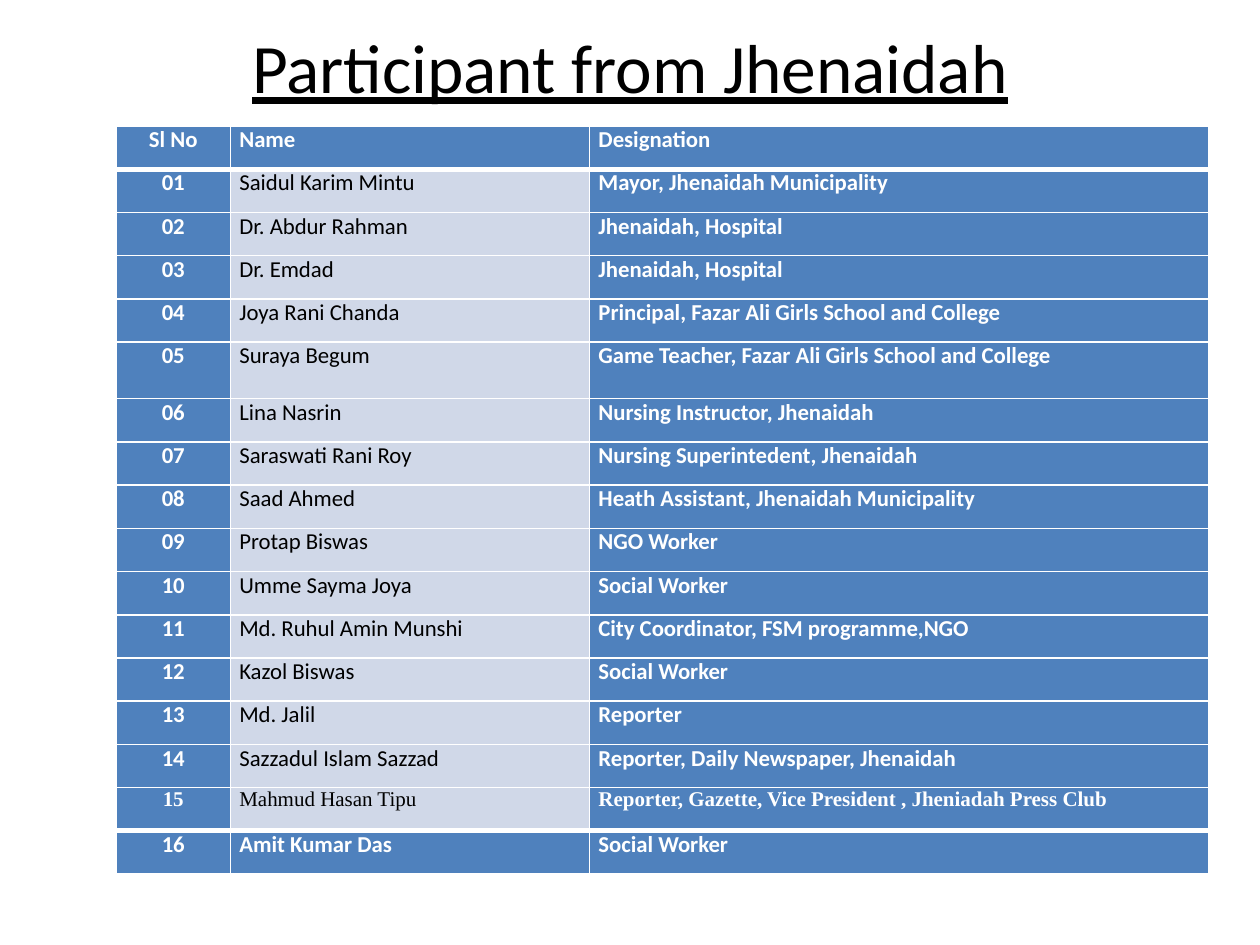
import dataclasses

import lxml.etree
import pptx
import pptx.dml.color
import pptx.enum.text
import pptx.oxml.ns
import pptx.util

Inches = pptx.util.Inches
Align = pptx.enum.text.PP_ALIGN


@dataclasses.dataclass(frozen=True)
class Theme:
    accent: str = "4F81BD"
    tint: str = "D0D8E8"
    dark: str = "000000"
    light: str = "FFFFFF"
    font: str = "Calibri"
    serif: str = "Times New Roman"
    title_size: float = 39.6
    cell_size: float = 13
    serif_size: float = 12
    thin_rule: float = 1
    thick_rule: float = 3


class SlideBuilder:
    def __init__(self, slide, theme):
        self.slide = slide
        self.theme = theme

    def add_run(self, paragraph, text, font, size, color, bold=False, underline=False):
        run = paragraph.add_run()
        run.text = text
        run.font.name = font
        run.font.size = pptx.util.Pt(size)
        run.font.bold = bold
        run.font.underline = underline
        run.font.color.rgb = pptx.dml.color.RGBColor.from_string(color)

    def title(self, text, left, top, width, height):
        heading = self.slide.shapes.title
        heading.left, heading.top = Inches(left), Inches(top)
        heading.width, heading.height = Inches(width), Inches(height)
        frame = heading.text_frame
        frame.auto_size = pptx.enum.text.MSO_AUTO_SIZE.NONE
        frame.vertical_anchor = pptx.enum.text.MSO_ANCHOR.MIDDLE
        paragraph = frame.paragraphs[0]
        paragraph.alignment = Align.CENTER
        theme = self.theme
        self.add_run(paragraph, text, theme.font, theme.title_size, theme.dark, underline=True)

    def border(self, cell, **widths):
        properties = cell._tc.get_or_add_tcPr()
        qn = pptx.oxml.ns.qn
        for side in "LRTB":
            width = widths.get(side, self.theme.thin_rule)
            line = lxml.etree.SubElement(properties, qn(f"a:ln{side}"), w=str(pptx.util.Pt(width)))
            fill = lxml.etree.SubElement(line, qn("a:solidFill"))
            lxml.etree.SubElement(fill, qn("a:srgbClr"), val=self.theme.light)

    def cell(self, cell, text, alignment, plain, serif, rules):
        theme = self.theme
        self.border(cell, **rules)
        cell.fill.solid()
        fill = theme.tint if plain else theme.accent
        cell.fill.fore_color.rgb = pptx.dml.color.RGBColor.from_string(fill)
        cell.margin_left = cell.margin_right = Inches(0.07)
        cell.margin_top = cell.margin_bottom = 0
        paragraph = cell.text_frame.paragraphs[0]
        paragraph.alignment = alignment
        font, size = (theme.serif, theme.serif_size) if serif else (theme.font, theme.cell_size)
        color = theme.dark if plain else theme.light
        self.add_run(paragraph, text, font, size, color, bold=not plain)

    def table(self, rows, left, top, widths, height, tall_rows, serif_rows):
        grid = self.slide.shapes.add_table(
            len(rows), len(widths), Inches(left), Inches(top), Inches(sum(widths)), Inches(height)
        ).table
        for column, width in zip(grid.columns, widths):
            column.width = Inches(width)
        row_height = (height - sum(tall_rows.values())) / (len(rows) - len(tall_rows))
        last = len(rows) - 1
        thick = self.theme.thick_rule
        for index, values in enumerate(rows):
            grid.rows[index].height = Inches(tall_rows.get(index, row_height))
            rules = {}
            if index in (0, last - 1):
                rules["B"] = thick
            if index in (1, last):
                rules["T"] = thick
            for column, text in enumerate(values):
                self.cell(
                    grid.cell(index, column),
                    text,
                    Align.JUSTIFY if column else Align.CENTER,
                    plain=column == 1 and 0 < index < last,
                    serif=index in serif_rows,
                    rules=rules,
                )


PARTICIPANTS = [
    ("Saidul Karim Mintu", "Mayor, Jhenaidah Municipality"),
    ("Dr. Abdur Rahman", "Jhenaidah, Hospital"),
    ("Dr. Emdad", "Jhenaidah, Hospital"),
    ("Joya Rani Chanda", "Principal, Fazar Ali Girls School and College"),
    ("Suraya Begum", "Game Teacher, Fazar Ali Girls School and College"),
    ("Lina Nasrin", "Nursing Instructor, Jhenaidah"),
    ("Saraswati Rani Roy", "Nursing Superintedent, Jhenaidah"),
    ("Saad Ahmed", "Heath Assistant, Jhenaidah Municipality"),
    ("Protap Biswas", "NGO Worker"),
    ("Umme Sayma Joya", "Social Worker"),
    ("Md. Ruhul Amin Munshi", "City Coordinator, FSM programme,NGO"),
    ("Kazol Biswas", "Social Worker"),
    ("Md. Jalil", "Reporter"),
    ("Sazzadul Islam Sazzad", "Reporter, Daily Newspaper, Jhenaidah"),
    ("Mahmud Hasan Tipu", "Reporter, Gazette, Vice President , Jheniadah Press Club"),
    ("Amit Kumar Das", "Social Worker"),
]


def main():
    deck = pptx.Presentation()
    deck.slide_width, deck.slide_height = Inches(10), Inches(7.5)
    title_only = deck.slide_layouts[5]
    builder = SlideBuilder(deck.slides.add_slide(title_only), Theme())
    builder.title("Participant from Jhenaidah", 0.5, 0.3, 9, 0.45)
    numbered = [(f"{number:02}", *person) for number, person in enumerate(PARTICIPANTS, 1)]
    builder.table(
        [("Sl No", "Name", "Designation"), *numbered],
        left=0.92,
        top=1,
        widths=(0.91, 2.85, 4.91),
        height=5.94,
        tall_rows={5: 0.45},
        serif_rows={15},
    )
    deck.save("out.pptx")


if __name__ == "__main__":
    main()
